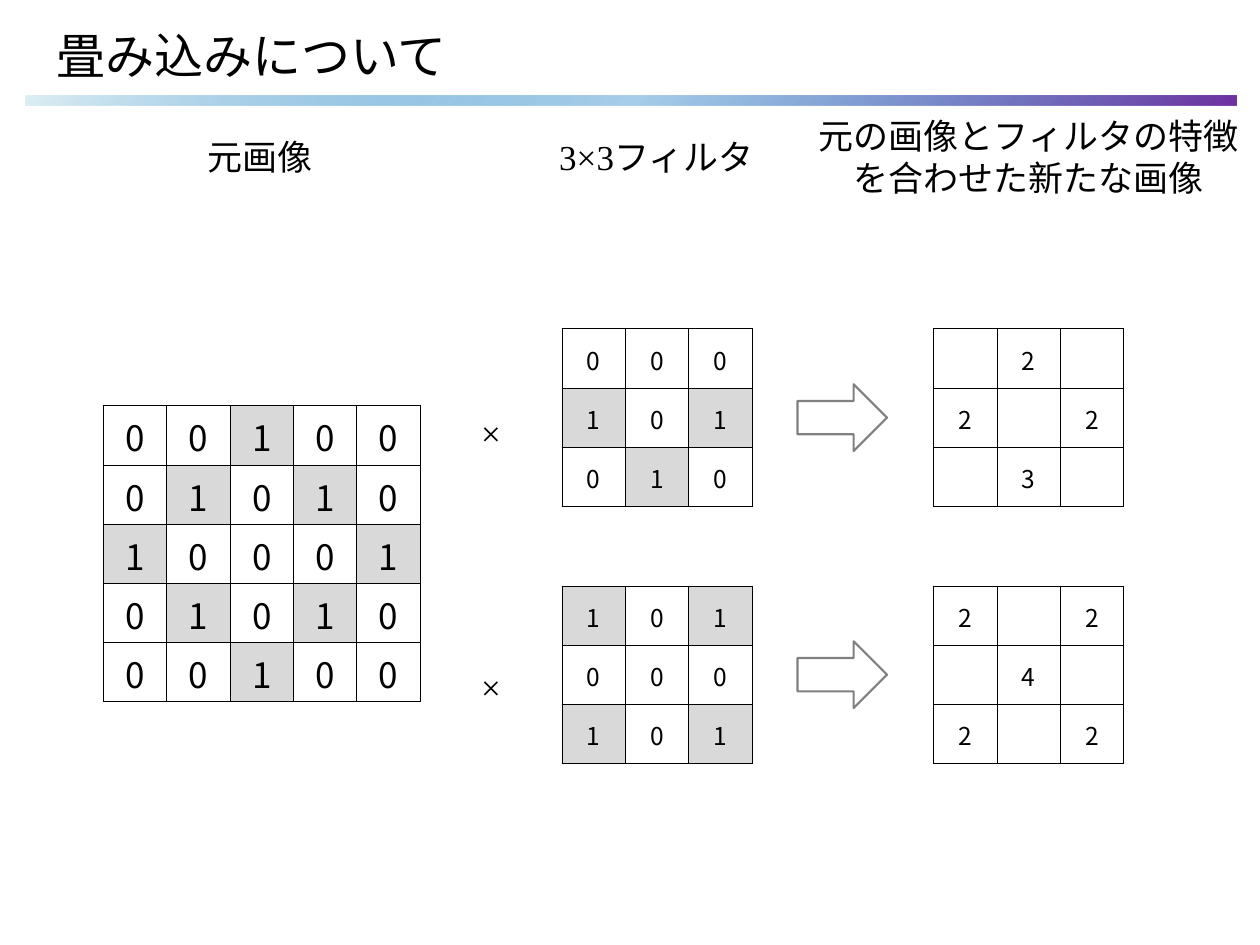
from lxml import etree
from pptx import Presentation, dml, util as u
from pptx.dml import color
from pptx.enum import shapes, text
from pptx.oxml import ns

BLACK = color.RGBColor(0x00, 0x00, 0x00)
WHITE = color.RGBColor(0xFF, 0xFF, 0xFF)
SHADE = color.RGBColor(0xD9, 0xD9, 0xD9)
OUTLINE = color.RGBColor(0x80, 0x80, 0x80)

HEADING = "畳み込みについて"
SERIF, SANS = "Times New Roman", "Noto Sans CJK JP"
CELL_W, CELL_H = 0.503, 0.47
ROW_TOPS = (2.61, 4.65)
FILTER_LEFT, RESULT_LEFT, ARROW_LEFT = 4.46, 7.41, 6.33
ARROW_W, ARROW_H = 0.71, 0.53

SOURCE = ["00100", "01010", "10001", "01010", "00100"]
FILTERS = [["000", "101", "010"], ["101", "000", "101"]]
RESULTS = [[" 2 ", "2 2", " 3 "], ["2 2", " 4 ", "2 2"]]

LABELS = [
    (["元画像"], (1.55, 1.03, 1.04, 0.44), text.PP_ALIGN.LEFT, False),
    (["3×3フィルタ"], (4.34, 1.03, 1.74, 0.44), text.PP_ALIGN.LEFT, True),
    (["元の画像とフィルタの特徴", "を合わせた新たな画像"],
     (6.38, 0.86, 3.57, 0.77), text.PP_ALIGN.CENTER, False),
    (["×"], (3.72, 3.22, 0.34, 0.44), text.PP_ALIGN.LEFT, False),
    (["×"], (3.72, 5.23, 0.34, 0.44), text.PP_ALIGN.LEFT, False),
]
BAR_STOPS = [(0, "DFF0F5", 100), (50, "0070C0", 34), (100, "7030A0", 100)]
CELL_FORMAT = {
    "margin_left": u.Inches(0.02), "margin_right": u.Inches(0.02),
    "margin_top": u.Inches(0.02), "margin_bottom": 0,
    "vertical_anchor": text.MSO_ANCHOR.MIDDLE,
}
PLAIN_TABLE = {"first_row": False, "horz_banding": False}


def apply(target, formats):
    for key, value in formats.items():
        setattr(target, key, value)


def inches(*lengths):
    return [u.Inches(length) for length in lengths]


def write(paragraph, words, size, face, align):
    paragraph.alignment = align
    run = paragraph.add_run()
    run.text = words
    apply(run.font, {"size": u.Pt(size), "name": face, "bold": False})
    run.font.color.rgb = BLACK


def add_bar(slide):
    bar = slide.shapes.add_shape(
        shapes.MSO_SHAPE.RECTANGLE, *inches(0.2, 0.76, 9.61, 0.08))
    bar.shadow.inherit = False
    bar.line.fill.background()
    bar.fill.gradient()
    bar.fill.gradient_angle = 315
    stops = bar.fill._fill._gradFill.find(ns.qn("a:gsLst"))
    for stop in list(stops):
        stops.remove(stop)
    for position, rgb, alpha in BAR_STOPS:
        stop = etree.SubElement(stops, ns.qn("a:gs"), pos=str(position * 1000))
        tint = etree.SubElement(stop, ns.qn("a:srgbClr"), val=rgb)
        etree.SubElement(tint, ns.qn("a:alpha"), val=str(alpha * 1000))


def add_borders(cell):
    properties = cell._tc.get_or_add_tcPr()
    for side in ("lnL", "lnR", "lnT", "lnB"):
        border = etree.SubElement(
            properties, ns.qn(f"a:{side}"), w=str(u.Pt(0.5)))
        paint = etree.SubElement(border, ns.qn("a:solidFill"))
        etree.SubElement(paint, ns.qn("a:srgbClr"), val=str(BLACK))


def add_matrix(slide, rows, left, top, size):
    count = len(rows)
    matrix = slide.shapes.add_table(count, count, *inches(
        left, top, count * CELL_W, count * CELL_H)).table
    apply(matrix, PLAIN_TABLE)
    for column in matrix.columns:
        column.width = u.Inches(CELL_W)
    for r, digits in enumerate(rows):
        matrix.rows[r].height = u.Inches(CELL_H)
        for c, digit in enumerate(digits):
            cell = matrix.cell(r, c)
            apply(cell, CELL_FORMAT)
            add_borders(cell)
            cell.fill.solid()
            cell.fill.fore_color.rgb = SHADE if digit == "1" else WHITE
            if digit != " ":
                write(cell.text_frame.paragraphs[0], digit, size, SANS,
                      text.PP_ALIGN.CENTER)


def add_label(slide, lines, box, align, wrap):
    frame = slide.shapes.add_textbox(*inches(*box)).text_frame
    apply(frame, {"word_wrap": wrap,
                  "auto_size": text.MSO_AUTO_SIZE.SHAPE_TO_FIT_TEXT})
    for i, line in enumerate(lines):
        paragraph = frame.add_paragraph() if i else frame.paragraphs[0]
        write(paragraph, line, 20, SERIF, align)


def add_arrow(slide, top):
    arrow = slide.shapes.add_shape(
        shapes.MSO_SHAPE.RIGHT_ARROW,
        *inches(ARROW_LEFT, top, ARROW_W, ARROW_H))
    arrow.shadow.inherit = False
    arrow.fill.solid()
    arrow.fill.fore_color.rgb = WHITE
    arrow.line.color.rgb = OUTLINE
    arrow.line.width = u.Pt(1.25)


def main():
    deck = Presentation()
    apply(deck, {"slide_width": u.Inches(10), "slide_height": u.Inches(7.5)})
    slide = deck.slides.add_slide(deck.slide_layouts[5])

    add_bar(slide)
    title = slide.shapes.title
    apply(title, dict(zip(("left", "top", "width", "height"),
                          inches(0.35, 0.13, 9.15, 0.61))))
    title.text_frame.vertical_anchor = text.MSO_ANCHOR.MIDDLE
    write(title.text_frame.paragraphs[0], HEADING, 28, SERIF,
          text.PP_ALIGN.LEFT)

    add_matrix(slide, SOURCE, 0.82, 3.22, 20)
    for top, kernel, result in zip(ROW_TOPS, FILTERS, RESULTS):
        add_matrix(slide, kernel, FILTER_LEFT, top, 14)
        add_matrix(slide, result, RESULT_LEFT, top, 14)
        add_arrow(slide, top + (3 * CELL_H - ARROW_H) / 2)
    for label in LABELS:
        add_label(slide, *label)

    deck.save("out.pptx")


if __name__ == "__main__":
    main()
